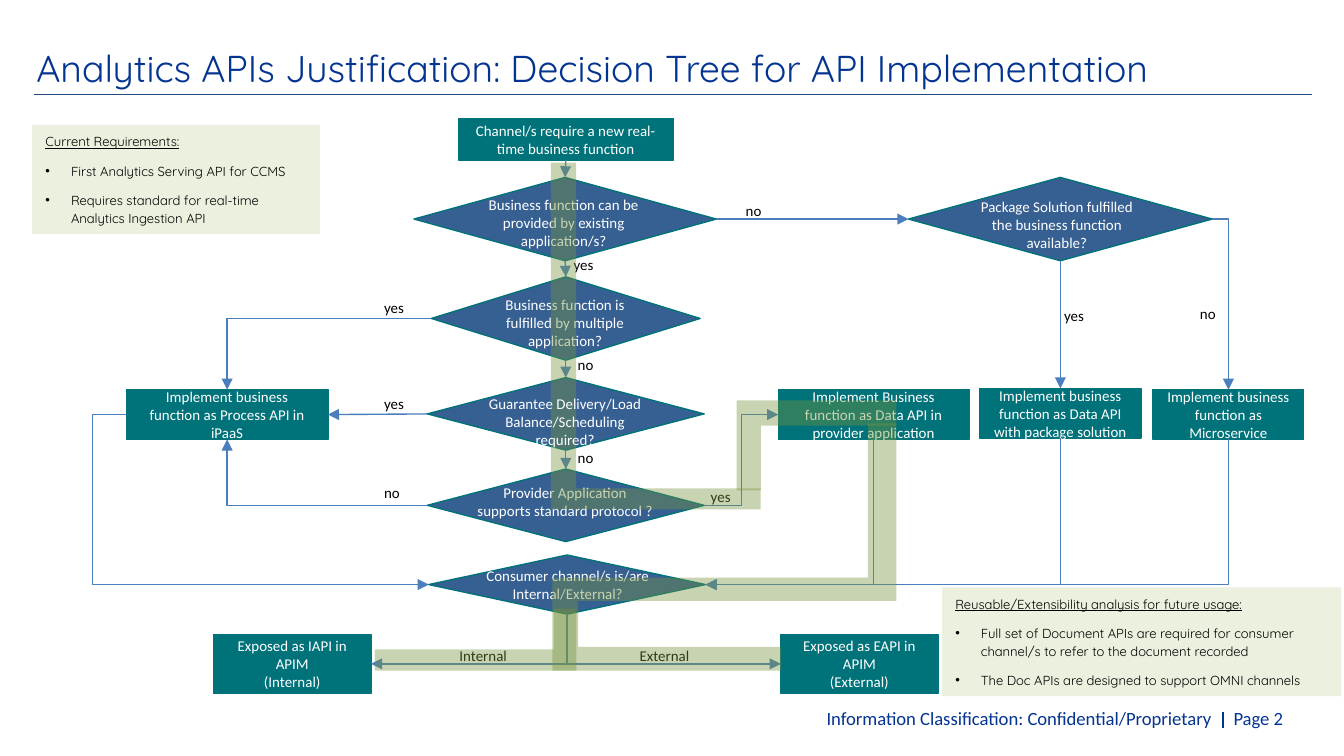
from lxml.etree import SubElement
from pptx import Presentation
from pptx.dml.color import RGBColor
from pptx.enum.shapes import MSO_CONNECTOR, MSO_SHAPE
from pptx.enum.text import MSO_ANCHOR, MSO_AUTO_SIZE, PP_ALIGN
from pptx.oxml.ns import qn
from pptx.util import Pt

PX = 9144
WIDE = 1000
HUES = {"navy": "043491", "rule": "1F497D", "teal": "00727A", "blue": "376092",
        "wire": "4B7EBC", "band": "77933C", "note": "EBF1DE",
        "white": "FFFFFF", "black": "000000"}
TITLE = "Analytics APIs Justification: Decision Tree for API Implementation"
FOOT = [("Information Classification: Confidential/Proprietary", (600, 521, 311, 27), PP_ALIGN.RIGHT),
        ("Page 2", (908, 521, 67, 27), PP_ALIGN.LEFT)]
BOXES = {
    "start": ((341, 88, 160, 31), ["Channel/s require a new real-time business function"]),
    "process": ((94, 290, 150, 37), ["Implement business function as Process API in iPaaS"]),
    "data": ((579, 290, 142, 37), ["Implement Business function as Data API in provider application"]),
    "inside": ((159, 472, 117, 44), ["Exposed as IAPI in APIM", "(Internal)"]),
    "outside": ((581, 472, 117, 44), ["Exposed as EAPI in APIM", "(External)"]),
    "packed": ((729, 289, 120, 37), ["Implement business function as Data API with package solution"]),
    "micro": ((858, 290, 112, 37), ["Implement business function as Microservice"]),
}
TESTS = {
    "exists": ((308, 132, 225, 62), (348, 141, 143, 50),
               ["Business function can be provided by existing application/s?"]),
    "many": ((321, 206, 200, 62), (349, 215, 143, 50),
             ["Business function is fulfilled by multiple application?"]),
    "deliver": ((318, 281, 206, 54), (349, 289, 143, 50),
                ["Guarantee Delivery/Load Balance/Scheduling required?"]),
    "support": ((318, 349, 206, 54), (341, 355, 159, 37),
                ["Provider Application", "supports standard protocol ?"]),
    "consumer": ((319, 413, 206, 44), (343, 417, 159, 37),
                 ["Consumer channel/s is/are", "Internal/External?"]),
    "package": ((676, 132, 226, 62), (715, 142, 143, 50),
                ["Package Solution fulfilled the business function available?"]),
}
FRONT = ("deliver", "package")
TOP, LEFT, BASE, RIGHT = range(4)
WIRES = [
    ("start", BASE, "exists", TOP, "straight"),
    ("exists", BASE, "many", TOP, "straight"),
    ("many", BASE, "deliver", TOP, "straight"),
    ("deliver", BASE, "support", TOP, "straight"),
    ("deliver", LEFT, "process", RIGHT, "straight"),
    ("many", LEFT, "process", TOP, "across"),
    ("support", LEFT, "process", BASE, "across"),
    ("support", RIGHT, "data", LEFT, "step"),
    ("process", LEFT, "consumer", LEFT, "loop"),
    ("data", BASE, "consumer", RIGHT, "down"),
    ("consumer", BASE, "outside", LEFT, "down"),
    ("consumer", BASE, "inside", RIGHT, "down"),
    ("exists", RIGHT, "package", LEFT, "straight"),
    ("package", BASE, "packed", TOP, "straight"),
    ("package", RIGHT, "micro", TOP, "across"),
    ("packed", BASE, "consumer", RIGHT, "down"),
    ("micro", BASE, "consumer", RIGHT, "down"),
]
LABELS = [
    ("yes", 417, 185, 36), ("yes", 276, 217, 36), ("no", 420, 260, 36),
    ("yes", 276, 289, 36), ("no", 276, 355, 36), ("no", 420, 329, 36),
    ("yes", 519, 358, 36), ("Internal", 332, 476, 78), ("External", 466, 476, 78),
    ("no", 545, 145, 33), ("yes", 782, 223, 36), ("no", 883, 222, 36),
]
BANDS = [
    ((410, 121, 156, 258), 0, False, (0.1, 0.12)),
    ((574, 272, 67, 119), 90, False, (0.27, 0.28)),
    ((473, 253, 132, 256), 270, False, (0.16, 0.13)),
    ((411, 447, 170, 52), 0, False, (0.34, 0.37)),
    ((279, 453, 150, 46), 0, True, (0.34, 0.37)),
]
NOTES = [
    ((24, 93, 214, 81), "Current Requirements:",
     ["First Analytics Serving API for CCMS",
      "Requires standard for real-time Analytics Ingestion API"]),
    ((701, 437, 297, 81), "Reusable/Extensibility analysis for future usage:",
     ["Full set of Document APIs are required for consumer channel/s to refer to the document recorded",
      "The Doc APIs are designed to support OMNI channels"]),
]


def hue(name):
    return RGBColor.from_string(HUES[name])


def emu(box):
    return [v * PX for v in box]


def write(frame, lines, size, color, face="Calibri", align=PP_ALIGN.LEFT):
    frame.word_wrap = True
    for i, line in enumerate(lines):
        para = frame.paragraphs[0] if i == 0 else frame.add_paragraph()
        para.alignment = align
        run = para.add_run()
        run.text = line
        run.font.size, run.font.name = Pt(size), face
        run.font.color.rgb = hue(color)


def label(box, lines, size, color, align=PP_ALIGN.LEFT):
    frame = shapes.add_textbox(*emu(box)).text_frame
    write(frame, lines, size, color, align=align)
    return frame


def ask(name):
    label(*TESTS[name][1:], 8, "white", PP_ALIGN.CENTER)


def block(kind, box, fill, edge=None):
    shape = shapes.add_shape(kind, *emu(box))
    shape.shadow.inherit = False
    shape.fill.solid()
    shape.fill.fore_color.rgb = hue(fill)
    if edge:
        shape.line.color.rgb, shape.line.width = hue(edge), Pt(0.75)
    else:
        shape.line.fill.background()
    return shape


def stroke(kind, ends, color, width):
    line = shapes.add_connector(kind, *ends)
    line.line.color.rgb, line.line.width = hue(color), Pt(width)
    SubElement(line._element.spPr, qn("a:effectLst"))
    return line


def port(shape, side):
    x = shape.left + shape.width * (1, 0, 1, 2)[side] // 2
    y = shape.top + shape.height * (0, 1, 2, 1)[side] // 2
    return x, y


def wire(start, out, end, into, kind):
    x1, y1 = port(nodes[start], out)
    x2, y2 = port(nodes[end], into)
    ends = x1, y1, x2, y2
    if kind == "down":
        cx, cy, dx, dy = (x1 + x2) // 2, (y1 + y2) // 2, (x2 - x1) // 2, (y2 - y1) // 2
        ends = cx - dy, cy + dx, cx + dy, cy - dx
    form = MSO_CONNECTOR.STRAIGHT if kind == "straight" else MSO_CONNECTOR.ELBOW
    line = stroke(form, ends, "wire", 0.75)
    props = line._element.spPr
    SubElement(props.find(qn("a:ln")), qn("a:tailEnd"), type="triangle")
    geom = props.find(qn("a:prstGeom"))
    if kind == "straight":
        line.begin_connect(nodes[start], out)
        line.end_connect(nodes[end], into)
    if kind in ("across", "down"):
        geom.set("prst", "bentConnector2")
    if kind == "down":
        props.find(qn("a:xfrm")).set("rot", "5400000")
    if kind == "loop":
        SubElement(geom.find(qn("a:avLst")), qn("a:gd"), name="adj1", fmla="val -11100")


deck = Presentation()
deck.slide_width = WIDE * PX
deck.slide_height = WIDE * PX * 9 // 16
slide = deck.slides.add_slide(deck.slide_layouts[5])
shapes = slide.shapes
title = shapes.title
title.left, title.top, title.width, title.height = emu((17, 29, 959, 43))
title.text_frame.vertical_anchor = MSO_ANCHOR.MIDDLE
title.text_frame.auto_size = MSO_AUTO_SIZE.NONE
write(title.text_frame, [TITLE], 20, "navy", "Quicksand")

for text, box, align in FOOT:
    label(box, [text], 10, "navy", align).word_wrap = False
stroke(MSO_CONNECTOR.STRAIGHT, emu((910, 530, 910, 542)), "navy", 0.75)
stroke(MSO_CONNECTOR.STRAIGHT, emu((976, 70, 25, 70)), "rule", 0.25)

nodes = {}
for name, (box, lines) in BOXES.items():
    nodes[name] = block(MSO_SHAPE.RECTANGLE, box, "teal", "teal")
    write(nodes[name].text_frame, lines, 8, "white", align=PP_ALIGN.CENTER)
for name, (box, _, _) in TESTS.items():
    nodes[name] = block(MSO_SHAPE.DIAMOND, box, "blue", "teal")
    if name not in FRONT:
        ask(name)
for row in WIRES:
    wire(*row)
for text, x, y, w in LABELS:
    label((x, y, w, 24), [text], 8, "black")

for box, turn, flip, bends in BANDS:
    band = block(MSO_SHAPE.from_xml("corner"), box, "band")
    band.rotation = turn
    for i, bend in enumerate(bends):
        band.adjustments[i] = bend
    props = band._element.spPr
    if flip:
        props.find(qn("a:xfrm")).set("flipH", "1")
    tint = props.find(qn("a:solidFill")).find(qn("a:srgbClr"))
    SubElement(tint, qn("a:alpha"), val="40000")
for name in FRONT:
    ask(name)

for box, head, items in NOTES:
    frame = block(MSO_SHAPE.RECTANGLE, box, "note").text_frame
    frame.vertical_anchor = MSO_ANCHOR.TOP
    write(frame, [head, *items], 7, "black", "Quicksand")
    for i, para in enumerate(frame.paragraphs):
        para.line_spacing, para.space_after = 1.15, Pt(6)
        if i == 0:
            para.runs[0].font.underline = True
        else:
            props = para._p.get_or_add_pPr()
            props.set("marL", str(19 * PX))
            props.set("indent", str(-19 * PX))
            SubElement(props, qn("a:buFont"), typeface="Arial")
            SubElement(props, qn("a:buChar"), char="•")

deck.save("out.pptx")
